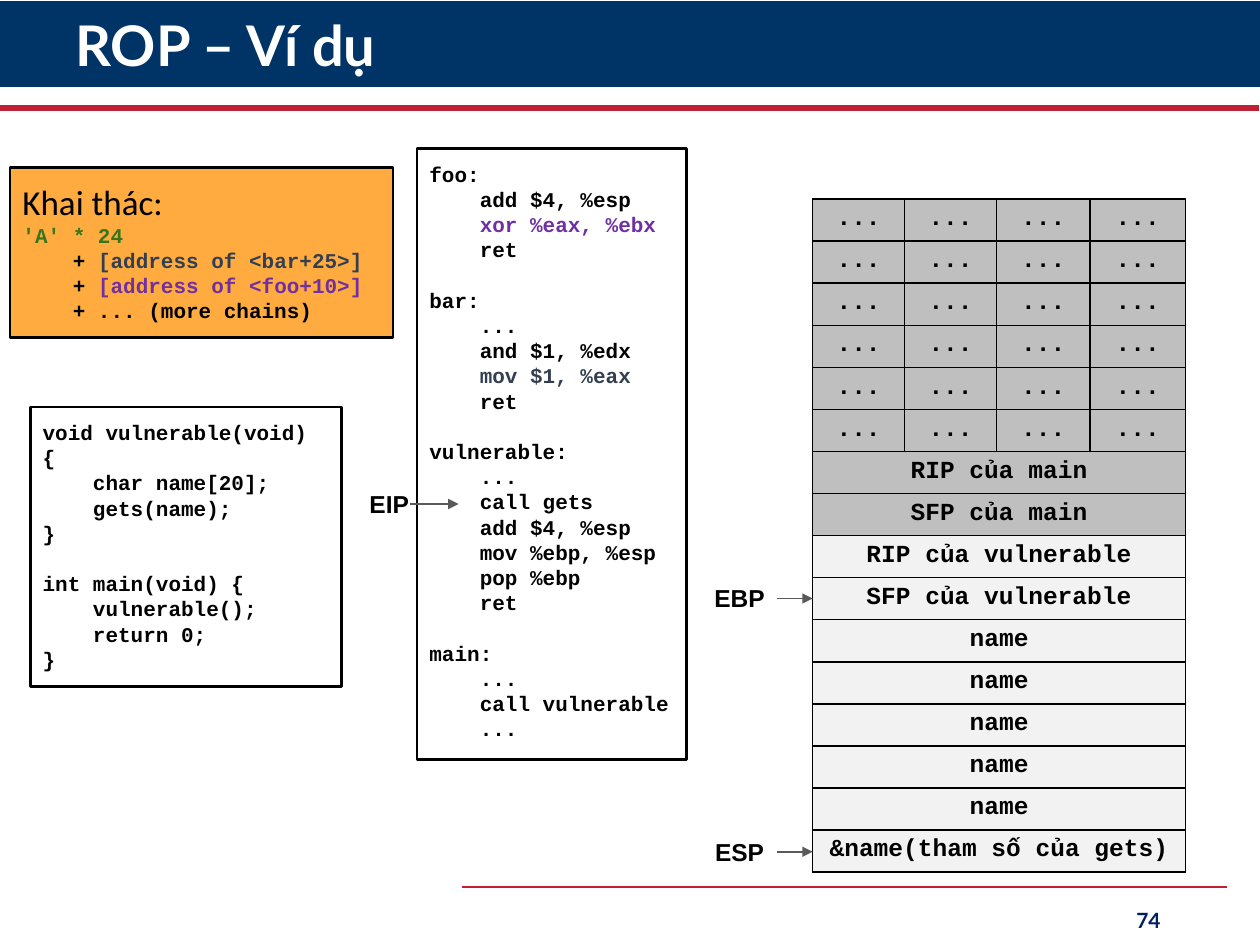
from lxml import etree
from pptx import Presentation
from pptx.dml.color import RGBColor
from pptx.enum.shapes import MSO_CONNECTOR, MSO_SHAPE
from pptx.enum.text import MSO_ANCHOR, PP_ALIGN
from pptx.oxml.ns import qn
from pptx.util import Inches, Pt

RECTANGLE = MSO_SHAPE.RECTANGLE
STRAIGHT = MSO_CONNECTOR.STRAIGHT
TOP, MIDDLE = MSO_ANCHOR.TOP, MSO_ANCHOR.MIDDLE
LEFT, CENTER, RIGHT = PP_ALIGN.LEFT, PP_ALIGN.CENTER, PP_ALIGN.RIGHT

BLACK = RGBColor(0x00, 0x00, 0x00)
WHITE = RGBColor(0xFF, 0xFF, 0xFF)
NAVY = RGBColor(0x00, 0x33, 0x66)
PAGE_BLUE = RGBColor(0x00, 0x20, 0x60)
RED = RGBColor(0xC0, 0x20, 0x34)
ORANGE = RGBColor(0xFF, 0xAB, 0x40)
GREEN = RGBColor(0x38, 0x76, 0x1D)
SLATE = RGBColor(0x33, 0x3F, 0x50)
PURPLE = RGBColor(0x70, 0x30, 0xA0)
ARROW_GRAY = RGBColor(0x59, 0x59, 0x59)
CALLER_GRAY = RGBColor(0xBF, 0xBF, 0xBF)
FRAME_GRAY = RGBColor(0xF2, 0xF2, 0xF2)

TITLE = {"name": "Lato", "size": Pt(32), "bold": True}
PAGE = {"name": "Lato", "size": Pt(12), "bold": True}
HEADING = {"name": "Calibri", "size": Pt(20), "bold": False}
CODE = {"name": "Courier New", "size": Pt(12), "bold": True}
CELL = {"name": "Courier New", "size": Pt(14), "bold": True}
REGISTER = {"name": "Arial", "size": Pt(14), "bold": True}
BLANK_LINE = Pt(14.4)

EXPLOIT = [
    [("'A' * 24", GREEN)],
    [("    + ", BLACK), ("[address of <bar+25>]", SLATE)],
    [("    + ", BLACK), ("[address of <foo+10>]", PURPLE)],
    [("    + ... (more chains)", BLACK)],
]

ASSEMBLY = """foo:
    add $4, %esp
    xor %eax, %ebx
    ret

bar:
    ...
    and $1, %edx
    mov $1, %eax
    ret

vulnerable:
    ...
    call gets
    add $4, %esp
    mov %ebp, %esp
    pop %ebp
    ret

main:
    ...
    call vulnerable
    ..."""
GADGETS = {"    xor %eax, %ebx": PURPLE, "    mov $1, %eax": SLATE}

C_SOURCE = """void vulnerable(void) {
    char name[20];
    gets(name);
}

int main(void) {
    vulnerable();
    return 0;
}"""

STACK_COLUMNS = [0.73, 0.73, 0.74, 0.76]
STACK_ROWS = (
    [(["..."] * 4, CALLER_GRAY)] * 6
    + [([f"{saved} của main"], CALLER_GRAY) for saved in ("RIP", "SFP")]
    + [([f"{saved} của vulnerable"], FRAME_GRAY) for saved in ("RIP", "SFP")]
    + [(["name"], FRAME_GRAY)] * 5
    + [(["&name(tham số của gets)"], FRAME_GRAY)]
)


class SlideBuilder:
    def __init__(self, slide):
        self.shapes = slide.shapes

    def add_runs(self, paragraph, runs, style, align=LEFT):
        paragraph.alignment = align
        for text, color in runs:
            run = paragraph.add_run()
            run.text = text
            for attribute, value in style.items():
                setattr(run.font, attribute, value)
            run.font.color.rgb = color

    def set_frame(self, frame, inset, anchor):
        margins = dict.fromkeys(("left", "right", "top", "bottom"), Inches(inset))
        for side, value in margins.items():
            setattr(frame, f"margin_{side}", value)
        frame.word_wrap = True
        frame.vertical_anchor = anchor

    def panel(self, bounds, fill, outline=None):
        shape = self.shapes.add_shape(RECTANGLE, *map(Inches, bounds))
        shape.shadow.inherit = False
        shape.fill.solid()
        shape.fill.fore_color.rgb = fill
        if outline is None:
            shape.line.fill.background()
        else:
            shape.line.color.rgb = outline
            shape.line.width = Pt(1.5)
        return shape

    def code_panel(self, bounds, fill, lines, heading=None):
        frame = self.panel(bounds, fill, BLACK).text_frame
        self.set_frame(frame, 0.1, TOP)
        entries = [([(heading, BLACK)], HEADING)] if heading else []
        entries += [(runs, CODE) for runs in lines]
        paragraph, gap = frame.paragraphs[0], False
        for index, (runs, style) in enumerate(entries):
            if not runs:
                gap = True
                continue
            if index:
                paragraph = frame.add_paragraph()
            if gap:
                paragraph.space_before = BLANK_LINE
                gap = False
            self.add_runs(paragraph, runs, style)

    def label(self, bounds, text, style, color, align, inset=0.05, anchor=TOP):
        frame = self.shapes.add_textbox(*map(Inches, bounds)).text_frame
        self.set_frame(frame, inset, anchor)
        self.add_runs(frame.paragraphs[0], [(text, color)], style, align)
        return frame

    def line(self, x1, x2, y, color, width, arrow=False):
        connector = self.shapes.add_connector(STRAIGHT, *map(Inches, (x1, y, x2, y)))
        connector.line.color.rgb = color
        connector.line.width = Pt(width)
        properties = connector._element.spPr
        if arrow:
            outline = properties.find(qn("a:ln"))
            etree.SubElement(outline, qn("a:tailEnd"), type="triangle")
        etree.SubElement(properties, qn("a:effectLst"))

    def border(self, cell):
        properties = cell._tc.get_or_add_tcPr()
        for side in "LRTB":
            edge = etree.SubElement(properties, qn(f"a:ln{side}"), w=str(Pt(1)))
            solid = etree.SubElement(edge, qn("a:solidFill"))
            etree.SubElement(solid, qn("a:srgbClr"), val=str(BLACK))

    def stack_table(self, bounds, columns, rows):
        table = self.shapes.add_table(
            len(rows), len(columns), *map(Inches, bounds)
        ).table
        table.first_row = table.horz_banding = False
        for column, width in zip(table.columns, columns):
            column.width = Inches(width)
        for row, (texts, fill) in zip(table.rows, rows):
            row.height = Inches(bounds[3] / len(rows))
            cells = list(row.cells)
            for cell in cells:
                cell.margin_left = cell.margin_right = 0
                self.border(cell)
                cell.fill.solid()
                cell.fill.fore_color.rgb = fill
            if len(texts) == 1:
                cells[0].merge(cells[-1])
            for cell, text in zip(cells, texts):
                paragraph = cell.text_frame.paragraphs[0]
                self.add_runs(paragraph, [(text, BLACK)], CELL, CENTER)

    def register(self, name, left, y, width, arrow_start, arrow_end):
        bounds = (left, y - 0.17, width, 0.34)
        self.label(bounds, name, REGISTER, BLACK, CENTER)
        self.line(arrow_start, arrow_end, y, ARROW_GRAY, 1, arrow=True)


def main():
    deck = Presentation()
    deck.slide_width, deck.slide_height = Inches(10), Inches(7.5)
    builder = SlideBuilder(deck.slides.add_slide(deck.slide_layouts[6]))

    builder.panel((0, 0.01, 10, 0.68), NAVY)
    builder.line(-0.01, 9.99, 0.86, RED, 3.5)
    builder.line(3.67, 9.74, 7.04, RED, 1.5)
    title = builder.label(
        (0.5, 0.08, 8.81, 0.61), "ROP – Ví dụ", TITLE, WHITE, LEFT, 0.1, MIDDLE
    )
    title.paragraphs[0].line_spacing = 0.9
    builder.label((7.06, 7.1, 2.25, 0.4), "74", PAGE, PAGE_BLUE, RIGHT, 0.1, MIDDLE)

    assembly, c_source = (
        [[(line, GADGETS.get(line, BLACK))] if line else [] for line in code.splitlines()]
        for code in (ASSEMBLY, C_SOURCE)
    )
    builder.code_panel((0.08, 1.33, 3.04, 1.35), ORANGE, EXPLOIT, "Khai thác:")
    builder.code_panel((3.31, 1.18, 2.14, 4.85), WHITE, assembly)
    builder.code_panel((0.24, 3.23, 2.47, 2.22), WHITE, c_source)

    builder.stack_table((6.45, 1.58, 2.96, 5.34), STACK_COLUMNS, STACK_ROWS)
    builder.register("EIP", 2.81, 4, 0.56, 3.25, 3.64)
    for name, y in (("ESP", 6.76), ("EBP", 4.75)):
        builder.register(name, 5.58, y, 0.58, 6.17, 6.45)

    deck.save("out.pptx")


if __name__ == "__main__":
    main()
